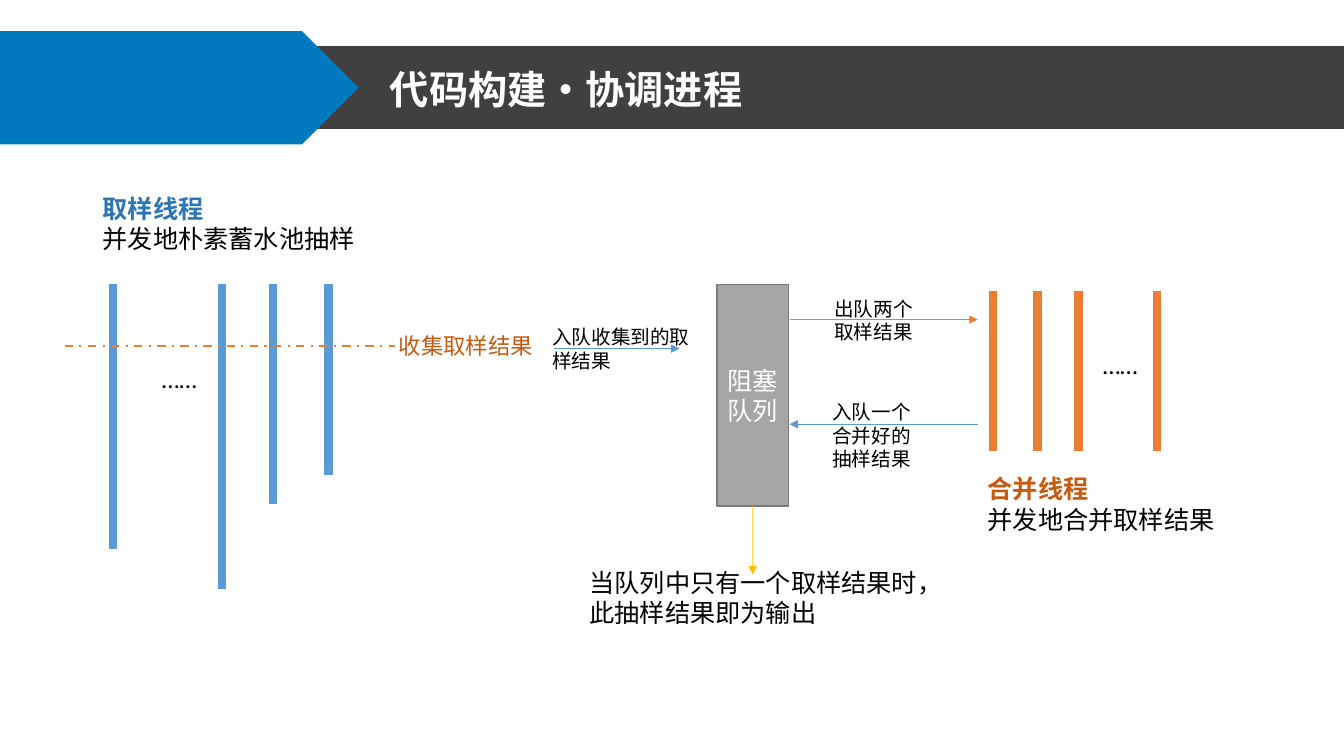
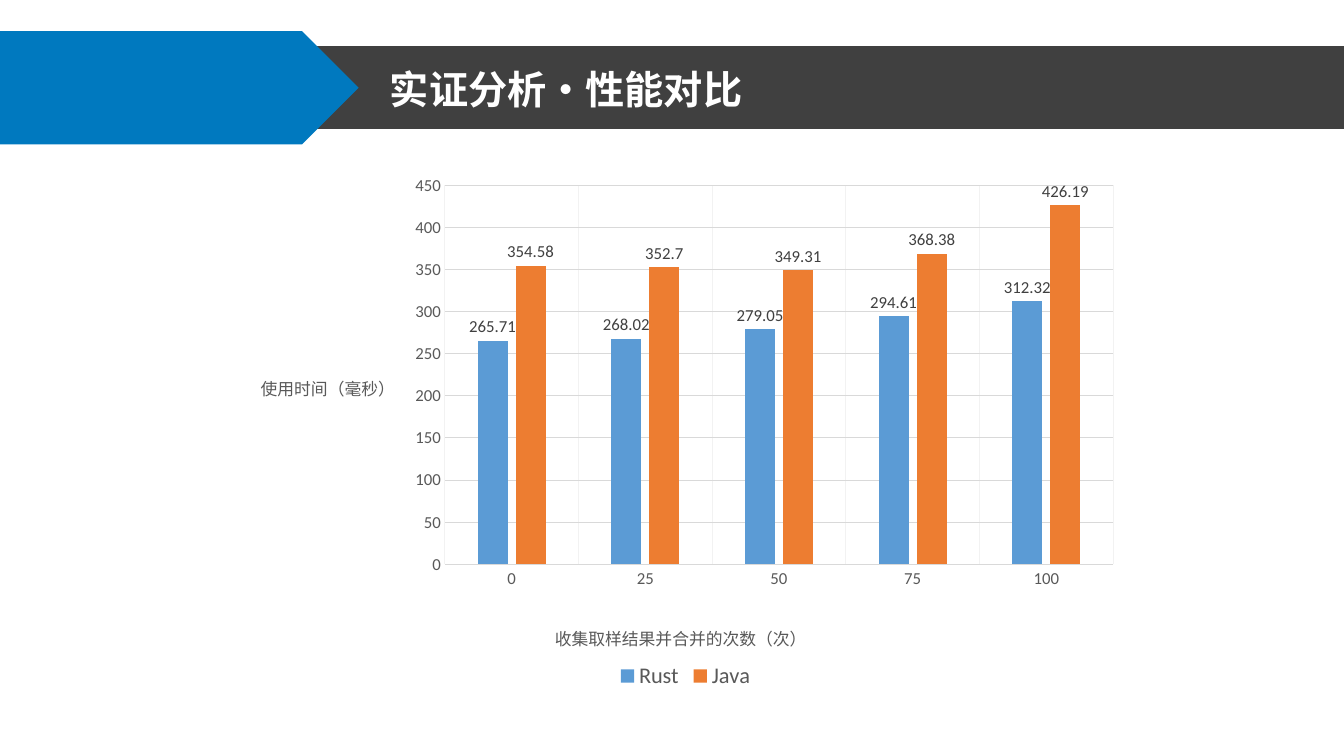
from lxml.etree import SubElement as Sub
from pptx import Presentation
from pptx.chart.data import CategoryChartData as Data
from pptx.dml.color import RGBColor
from pptx.enum.chart import XL_CHART_TYPE as Kind, XL_LABEL_POSITION as Spot
from pptx.enum.chart import XL_LEGEND_POSITION as Side, XL_TICK_MARK as Tick
from pptx.enum.dml import MSO_LINE as Dash
from pptx.enum.shapes import MSO_CONNECTOR as Wire, MSO_SHAPE as Form
from pptx.enum.text import MSO_ANCHOR as Anchor, PP_ALIGN as Align
from pptx.oxml import parse_xml
from pptx.oxml.ns import nsdecls, qn
from pptx.util import Inches, Pt

hue = RGBColor.from_string
BLUE, RUST, GOLD = "5B9BD5", "ED7D31", "FFC000"
NAVY, BROWN, BLACK, WHITE = "2E75B6", "C55A11", "000000", "FFFFFF"
DARK, GREY, PALE = "404040", "595959", "D9D9D9"
FONT, BOLD = "Calibri", "Noto Sans CJK SC"

deck = Presentation()
deck.slide_width, deck.slide_height = Inches(13.333), Inches(7.5)
# The grid has 160 columns and 90 rows of square cells
cell = deck.slide_height / 90


def write(slide, box, text, size, tint=BLACK, lead=None):
    """Add a text box; lead is the colour of a bold first line."""
    area = slide.shapes.add_textbox(*[int(n * cell) for n in box])
    frame = area.text_frame
    frame.word_wrap = True
    frame.text = text
    for i, par in enumerate(frame.paragraphs):
        head = lead and i == 0
        par.font.size, par.font.name = Pt(size), FONT
        par.font.bold = bool(head)
        par.font.color.rgb = hue(lead if head else tint)
    return frame


def rule(slide, ends, tint, width, arrow=False):
    """Draw a straight line from x, y to x, y in grid cells."""
    line = slide.shapes.add_connector(Wire.STRAIGHT, *[int(n * cell) for n in ends])
    line.line.color.rgb, line.line.width = hue(tint), Pt(width)
    if arrow:
        Sub(line.line._get_or_add_ln(), qn("a:tailEnd"), type="triangle")
    Sub(line._element.spPr, qn("a:effectLst"))
    return line


# Shared header: dark band, blue plate and title
pages = []
for title in ("代码构建·协调进程", "实证分析·性能对比"):
    page = deck.slides.add_slide(deck.slide_layouts[6])
    pages.append(page)
    for form, box, tint in ((Form.RECTANGLE, (35.15, 5.5, 124.85, 9.85), DARK),
                            (Form.PENTAGON, (0, 3.7, 42.7, 13.5), "0079BF")):
        part = page.shapes.add_shape(form, *[int(n * cell) for n in box])
        part.shadow.inherit = False
        part.fill.solid()
        part.fill.fore_color.rgb = hue(tint)
        part.line.fill.background()
    frame = write(page, (45.25, 7.3, 87.1, 7.2), title, 28, WHITE, WHITE)
    frame.vertical_anchor = Anchor.MIDDLE
    par = frame.paragraphs[0]
    par.line_spacing, par.font.name = 0.9, BOLD
    Sub(par.font._element, qn("a:ea"), typeface=BOLD)
flow, test = pages

# Sampling threads
top = 33.85
for x, end in ((13.45, 65.4), (26.4, 70.1), (32.5, 60), (39.1, 56.5)):
    rule(flow, (x, top, x, end), BLUE, 6)
write(flow, (11.05, 22.45, 45.25, 8.5), "取样线程\n并发地朴素蓄水池抽样", 18, lead=NAVY)

# Merging threads
for x in (118.2, 123.5, 128.4, 137.75):
    rule(flow, (x, 34.7, x, 53.65), RUST, 6)
write(flow, (116.4, 55.8, 33.85, 8.5), "合并线程\n并发地合并取样结果", 18, lead=BROWN)

for x, y in ((18.1, 42.7), (130.1, 41.05)):
    write(flow, (x, y, 16.7, 4.8), "……", 18)

# Blocking queue
queue = flow.shapes.add_shape(Form.RECTANGLE, *[int(n * cell) for n in (85.35, top, 8.55, 26.4)])
queue.shadow.inherit = False
queue.fill.solid()
queue.fill.fore_color.rgb = hue("A5A5A5")
queue.line.color.rgb, queue.line.width = hue("7A7A7A"), Pt(1)
queue.text_frame.text = "阻塞队列"
queue.text_frame.vertical_anchor = Anchor.MIDDLE
par = queue.text_frame.paragraphs[0]
par.alignment = Align.CENTER
par.font.size, par.font.name = Pt(18), FONT
par.font.color.rgb = hue(WHITE)

# Arrows into and out of the queue
rule(flow, (66, 41.5, 80.9, 41.5), BLUE, 0.5, True)
rule(flow, (94, 38.05, 116.4, 38.05), RUST, 0.75, True)
rule(flow, (116.4, 50.5, 94, 50.5), BLUE, 0.5, True)
rule(flow, (89.6, 60.25, 89.6, 68.4), GOLD, 0.5, True).begin_connect(queue, 2)
rule(flow, (7.7, 41.15, 47.05, 41.15), RUST, 1.5).line.dash_style = Dash.DASH_DOT

# Step labels
for box, text, size, tint in (
        ((64.55, 38.15, 20.65, 6.85), "入队收集到的取样结果", 14, BLACK),
        ((98.15, 34.7, 11.8, 6.85), "出队两个取样结果", 14, BLACK),
        ((97.9, 47.05, 12.6, 9.7), "入队一个合并好的抽样结果", 14, BLACK),
        ((46.3, 39, 30.85, 4.45), "收集取样结果", 16, BROWN),
        ((69, 66.95, 43.2, 8.5), "当队列中只有一个取样结果时，\n此抽样结果即为输出", 18, BLACK)):
    write(flow, box, text, size, tint)

# Timing chart
data = Data()
data.categories = ["0", "25", "50", "75", "100"]
data.add_series("Rust", (265.71, 268.02, 279.05, 294.61, 312.32))
data.add_series("Java", (354.58, 352.7, 349.31, 368.38, 426.19))
box = [int(n * cell) for n in (28.55, 19.55, 106.1, 63.1)]
chart = test.shapes.add_chart(Kind.COLUMN_CLUSTERED, *box, data).chart
chart.has_title = False
chart.font.size, chart.font.name = Pt(12), FONT
chart.font.color.rgb = hue(GREY)
chart.has_legend = True
key = chart.legend
key.position, key.include_in_layout = Side.BOTTOM, False
key.font.size, key.font.name = Pt(16), FONT
key.font.color.rgb = hue(GREY)

# Columns and their values
plot = chart.plots[0]
plot.gap_width, plot.overlap, plot.vary_by_categories = 219, -27, False
for row, tint in zip(plot.series, (BLUE, RUST)):
    row.format.fill.solid()
    row.format.fill.fore_color.rgb = hue(tint)
    tags = row.data_labels
    tags.show_value, tags.position = True, Spot.OUTSIDE_END
    tags.font.size, tags.font.name = Pt(12), FONT
    tags.font.color.rgb = hue(DARK)

# Axes, with their titles and grid lines
cats, vals = chart.category_axis, chart.value_axis
vals.minimum_scale, vals.maximum_scale, vals.major_unit = 0, 450, 50
spots = [(chart._chartSpace.chart.plotArea, 0, (0.23, 0.04, 0.75, 0.715))]
for axis, text, grid, spot in ((cats, "收集取样结果并合并的次数（次）", "F2F2F2", (0.35, 0.86)),
                               (vals, "使用时间（毫秒）", PALE, (0.02, 0.39))):
    axis.major_tick_mark = axis.minor_tick_mark = Tick.NONE
    axis.has_major_gridlines = True
    line = axis.major_gridlines.format.line
    line.color.rgb, line.width = hue(grid), Pt(0.75)
    frame = axis.axis_title.text_frame
    frame.text = text
    frame._txBody.bodyPr.set("rot", "0")
    font = frame.paragraphs[0].font
    font.size, font.name, font.bold = Pt(12), FONT, False
    font.color.rgb = hue(GREY)
    spots.append((axis.axis_title._element, 1, spot))
cats.format.line.color.rgb, cats.format.line.width = hue(PALE), Pt(0.75)
vals.format.line.fill.background()

# Fixed places, as shares of the chart
for part, at, spot in spots:
    for old in part.findall(qn("c:layout")):
        part.remove(old)
    place = parse_xml(f"<c:layout {nsdecls('c')}><c:manualLayout/></c:layout>")
    if len(spot) == 4:
        Sub(place[0], qn("c:layoutTarget"), val="inner")
    for name in ("xMode", "yMode"):
        Sub(place[0], qn("c:" + name), val="edge")
    for name, share in zip("xywh", spot):
        Sub(place[0], qn("c:" + name), val=str(share))
    part.insert(at, place)

deck.save("out.pptx")
